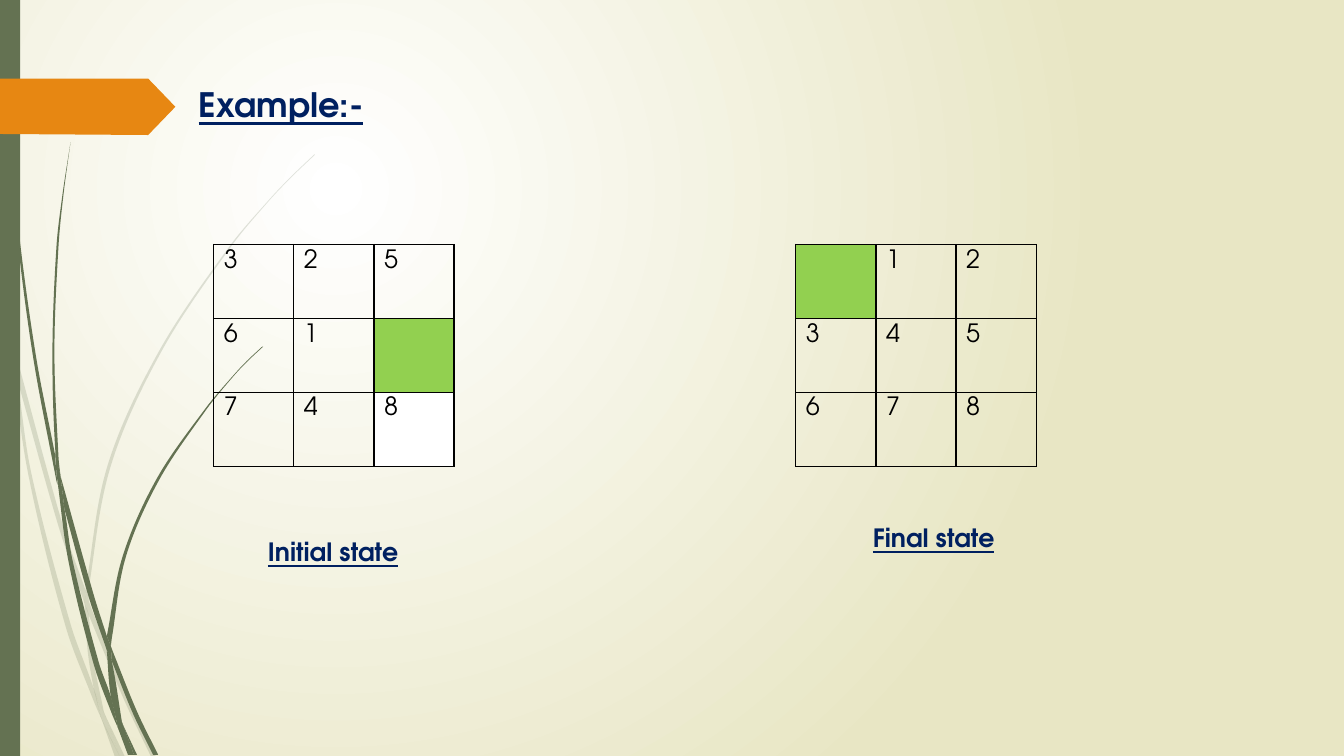
from lxml.etree import SubElement
from pptx import Presentation
from pptx.dml.color import RGBColor
from pptx.enum.shapes import MSO_SHAPE
from pptx.enum.text import MSO_ANCHOR, MSO_AUTO_SIZE, PP_ALIGN
from pptx.oxml.ns import qn
from pptx.util import Inches, Pt

# The grid has ten columns and ten rows to the inch.
COLS, ROWS = 133.33, 75
OLIVE, ORANGE, NAVY, GREEN = "647252", "E78712", "002060", "92D050"
CREAM, WHITE, BLACK = "E8E6C4", "FFFFFF", "000000"
FONT = "TeX Gyre Adventor"

# Each blade of grass has two edges of (column, row) knots: one down, one up.
FAINT = [
    ([(0, 29.9), (1, 34.4), (1.1, 35)], [(1.1, 35), (0.9, 32.2), (0, 28.2)]),
    ([(1.7, 37.6), (5.8, 52.2), (8.4, 59.9)], [(8.5, 58.6), (6.2, 52), (1.4, 34.5)]),
    ([(8.8, 61), (12.3, 69.4), (15, 75.1)], [(15.5, 75.1), (12.7, 69.2), (9.2, 60.7), (8.8, 59.6)]),
    ([(10.5, 71.1), (11.9, 75.1)], [(12.4, 75.1), (10.5, 71.1)]),
    ([(1.1, 35), (2.8, 47), (6.5, 62.1), (9.2, 69.3), (10.1, 71.4)],
     [(9.9, 70.7), (9.3, 68.3), (7, 61.9), (3.1, 46.9), (1.7, 37.6), (1.1, 35)]),
    ([(8.4, 59.9), (8.7, 64.6), (9.3, 68.3), (9.6, 69.2), (10.5, 71.1)],
     [(10.3, 70.6), (9.1, 64.6), (8.8, 61), (8.4, 59.9)]),
    ([(31.2, 15.3), (28.9, 17.5), (26.8, 19.7), (22.8, 24.4), (15.8, 34.8), (10.7, 46.1),
      (8.5, 58.4), (8.5, 58.6)],
     [(8.8, 59.6), (8.8, 58.4), (11, 46.2), (16, 34.9), (22.9, 24.5), (26.8, 19.8),
      (29, 17.5), (31.2, 15.4)]),
    ([(10.1, 71.4), (11.4, 75.1)], [(11.9, 75.1), (10.1, 71.4)]),
    ([(8.5, 58.6), (8.4, 59.9)], [(8.8, 61), (8.8, 59.6)]),
    ([(9.3, 68.3), (9.9, 70.7), (10.1, 71.4), (11.9, 75.1)], [(10.5, 71.1), (9.6, 69.2), (9.3, 68.3)]),
]
SOLID = [
    ([(0.3, 0), (0.4, 4.8), (0.7, 11), (1.7, 23.3), (3.3, 35.5), (5.6, 47.7), (5.7, 48.1)],
     [(5.5, 45.7), (5.5, 45.3), (3.6, 35.5), (1.9, 23.2), (0.8, 10.9), (0.5, 4.8), (0.4, 0)]),
    ([(6.4, 50.5), (8.8, 59.2), (10.6, 64.5)], [(10.6, 63.1), (9.3, 59), (6, 47.2)]),
    ([(11.1, 65.6), (13.2, 70.8), (15.2, 74.9)], [(15.7, 74.9), (13.6, 70.6), (11.3, 64.9), (11, 64.1)]),
    ([(5.7, 47.7), (6.8, 55.7), (9.3, 65.9), (11.1, 70.8), (11.7, 72.2)],
     [(11.6, 71.7), (11, 69.1), (9.8, 65.7), (7.2, 55.6), (6.4, 50.5), (5.7, 47.7)]),
    ([(7, 14.1), (6.2, 19.3), (5.6, 24.5), (5.2, 34.9), (5.5, 44.9), (6, 47.2)],
     [(6, 47.2), (5.8, 45.3), (5.4, 34.9), (5.8, 24.5), (6.3, 19.3), (7, 14.1)]),
    ([(12.2, 71.9), (13.3, 74.9)], [(13.6, 74.9), (12.2, 71.9)]),
    ([(5.5, 44.9), (5.5, 45.3), (5.7, 47.7), (6.4, 50.5)], [(6, 47.2), (5.5, 44.9)]),
    ([(26, 34.4), (24.5, 35.8), (23.1, 37.3), (20.4, 40.5), (15.6, 47.4), (12.2, 55.1), (10.6, 63.1)],
     [(11, 64.1), (11.1, 63.3), (12.5, 55.2), (15.8, 47.6), (20.5, 40.6), (23.1, 37.4),
      (24.5, 35.9), (26.1, 34.4)]),
    ([(11.7, 72.2), (12.7, 74.9)], [(13.1, 74.9), (11.7, 72.2)]),
    ([(10.6, 64.5), (11, 69.1), (11.6, 70.6), (12.2, 71.9)], [(12.1, 71.6), (11.1, 65.6), (10.6, 64.5)]),
    ([(10.6, 63.1), (10.6, 64.5)], [(11.1, 65.6), (11, 64.1)]),
    ([(11, 69.1), (11.6, 71.7), (11.7, 72.2), (13, 74.9)], [(13.3, 74.9), (12.2, 71.9), (11, 69.1)]),
]
ARROW = [(0, 7.8), (14.7, 7.8), (17.4, 10.6), (14.7, 13.4), (0, 13.3)]


def unit(num):
    """Turn grid steps into a length."""
    return Inches(num / 10)


def paint(color, code):
    """Set a colour from its hex string."""
    color.rgb = RGBColor.from_string(code)


def write(frame, text, size=18, color=BLACK, strong=False):
    """Put one formatted run into a text frame."""
    para = frame.paragraphs[0]
    para.alignment = PP_ALIGN.LEFT
    run = para.add_run()
    run.text = text
    font = run.font
    font.name, font.size = FONT, Pt(size)
    font.bold = font.underline = strong
    paint(font.color, color)


def smooth(knots):
    """List the Bezier points that follow the first knot."""
    slopes = []
    for i in range(len(knots)):
        (xa, ya), (xb, yb) = knots[max(i - 1, 0)], knots[min(i + 1, len(knots) - 1)]
        slopes.append((xb - xa) / ((yb - ya) or 1))
    points = []
    for (xa, ya), (xb, yb), sa, sb in zip(knots, knots[1:], slopes, slopes[1:]):
        gap = (yb - ya) / 3
        points += [(xa + sa * gap, ya + gap), (xb - sb * gap, yb - gap), (xb, yb)]
    return points


class Board:
    """Hold the deck and its current slide."""

    def __init__(self):
        """Start a deck with one title-only slide."""
        self.deck = Presentation()
        self.deck.slide_width, self.deck.slide_height = unit(COLS), unit(ROWS)
        self.slide = self.deck.slides.add_slide(self.deck.slide_layouts[5])
        self.shapes = self.slide.shapes

    def glow(self, inner, outer):
        """Fill the background with a round gradient."""
        fill = self.slide.background.fill
        fill.gradient()
        for stop, code in zip(fill.gradient_stops, (inner, outer)):
            paint(stop.color, code)
        grad = self.slide.element.find(".//" + qn("a:gradFill"))
        grad.remove(grad.find(qn("a:lin")))
        route = SubElement(grad, qn("a:path"), path="circle")
        SubElement(route, qn("a:fillToRect"), l="50000", t="50000", r="100000", b="100000")

    def dress(self, shape, code, alpha=100):
        """Give a shape a flat fill, no line and no shadow."""
        shape.shadow.inherit = False
        shape.line.fill.background()
        shape.fill.solid()
        paint(shape.fill.fore_color, code)
        if alpha < 100:
            tint = shape.element.spPr.find(".//" + qn("a:srgbClr"))
            SubElement(tint, qn("a:alpha"), val=str(alpha * 1000))

    def bar(self, box, code):
        """Add a plain rectangle."""
        self.dress(self.shapes.add_shape(MSO_SHAPE.RECTANGLE, *map(unit, box)), code)

    def form(self, points, code, alpha=100):
        """Add a closed outline and return it."""
        dots = [(unit(x), unit(y)) for x, y in points]
        pen = self.shapes.build_freeform(*dots[0])
        pen.add_line_segments(dots[1:], close=True)
        shape = pen.convert_to_shape()
        self.dress(shape, code, alpha)
        return shape

    def blade(self, down, up, alpha):
        """Add a blade of grass, turning each three points into a curve."""
        points = down[:1] + smooth(down) + smooth([down[-1], up[0]]) + smooth(up)
        shape = self.form(points, OLIVE, alpha)
        steps = list(shape.element.iter(qn("a:lnTo")))
        for trio in zip(steps[::3], steps[1::3], steps[2::3]):
            curve = trio[0].makeelement(qn("a:cubicBezTo"))
            trio[0].addprevious(curve)
            for step in trio:
                curve.append(step[0])
                step.getparent().remove(step)

    def title(self, text, box):
        """Place and format the title."""
        head = self.shapes.title
        head.left, head.top, head.width, head.height = map(unit, box)
        frame = head.text_frame
        frame.auto_size = MSO_AUTO_SIZE.NONE
        frame.vertical_anchor = MSO_ANCHOR.TOP
        frame.word_wrap = True
        write(frame, text, size=24, color=NAVY, strong=True)

    def label(self, text, box):
        """Add a caption on one line."""
        frame = self.shapes.add_textbox(*map(unit, box)).text_frame
        frame.word_wrap = False
        write(frame, text, color=NAVY, strong=True)

    def edge(self, cell):
        """Draw thin black borders round a cell."""
        props = cell._tc.get_or_add_tcPr()
        for i, side in enumerate(("lnL", "lnR", "lnT", "lnB")):
            line = props.makeelement(qn("a:" + side), {"w": str(Pt(1))})
            SubElement(SubElement(line, qn("a:solidFill")), qn("a:srgbClr"), val=BLACK)
            props.insert(i, line)

    def puzzle(self, tiles, box, fills):
        """Add a puzzle table; fills maps a tile to its colour."""
        table = self.shapes.add_table(len(tiles), len(tiles), *map(unit, box)).table
        table.first_row = table.horz_banding = False
        for r, row in enumerate(tiles):
            for c, tile in enumerate(row):
                cell = table.cell(r, c)
                cell.fill.background()
                if tile in fills:
                    cell.fill.solid()
                    paint(cell.fill.fore_color, fills[tile])
                if tile != " ":
                    write(cell.text_frame, tile)
                self.edge(cell)


board = Board()
board.glow(WHITE, CREAM)
for blades, alpha in ((FAINT, 20), (SOLID, 100)):
    for down, up in blades:
        board.blade(down, up, alpha)
board.bar((0, 0, 2, ROWS), OLIVE)
board.form(ARROW, ORANGE)
board.title("Example:-", (18.7, 7.8, 19.7, 5))
board.puzzle(("325", "61 ", "748"), (21.2, 24.25, 23.85, 22), {" ": GREEN, "8": WHITE})
board.puzzle((" 12", "345", "678"), (78.95, 24.25, 23.85, 22), {" ": GREEN})
board.label("Initial state", (25.6, 52.7, 15.1, 4))
board.label("Final state", (85.6, 51.3, 14.2, 4))
board.deck.save("out.pptx")
